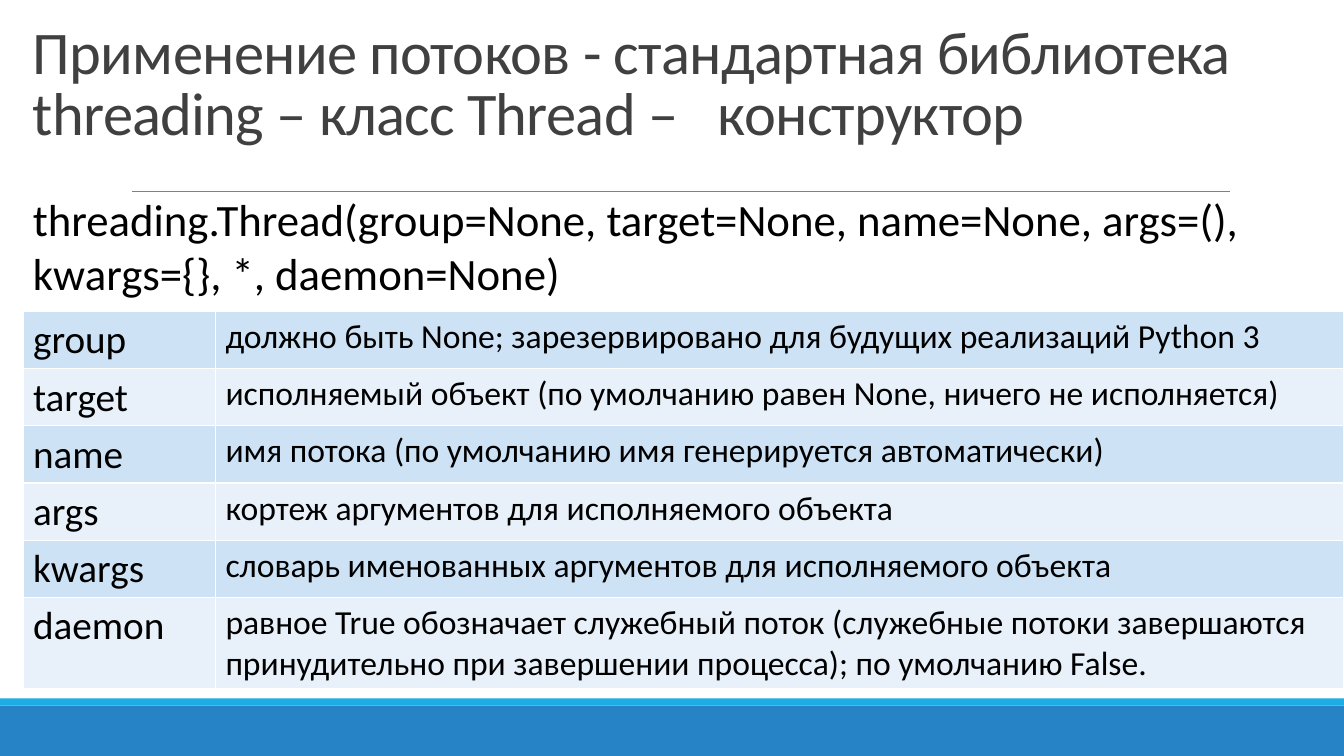
import pptx
import pptx.util
import pptx.dml.color
import pptx.enum.shapes
import pptx.enum.text
import pptx.oxml.ns
import lxml.etree

Cm = pptx.util.Cm
Pt = pptx.util.Pt
RGBColor = pptx.dml.color.RGBColor

BLUE = RGBColor(0x26, 0x83, 0xC6)
CYAN = RGBColor(0x1C, 0xAD, 0xE4)
GRAY = RGBColor(0x80, 0x80, 0x80)
DARK = RGBColor(0x40, 0x40, 0x40)
BLACK = RGBColor(0, 0, 0)
WHITE = RGBColor(0xFF, 0xFF, 0xFF)
BANDS = [RGBColor(0xCD, 0xE3, 0xF5), RGBColor(0xE8, 0xF1, 0xFA)]
FACE = "Calibri"
WIDE = 33.87
LEFT = 0.58

TITLE = [
    ("Применение потоков - стандартная библиотека threading – класс Thread –", -50),
    (" ", 1850),
    ("конструктор", -50),
]
CALL = "threading.Thread(group=None, target=None, name=None, args=(), kwargs={}, *, daemon=None)"
ARGS = [
    ("group", "должно быть None; зарезервировано для будущих реализаций Python 3"),
    ("target", "исполняемый объект (по умолчанию равен None, ничего не исполняется)"),
    ("name", "имя потока (по умолчанию имя генерируется автоматически)"),
    ("args", "кортеж аргументов для исполняемого объекта"),
    ("kwargs", "словарь именованных аргументов для исполняемого объекта"),
    ("daemon", "равное True обозначает служебный поток (служебные потоки завершаются "
               "принудительно при завершении процесса); по умолчанию False."),
]


def style(run, size, color):
    run.font.name = FACE
    run.font.size = Pt(size)
    run.font.color.rgb = color


def add_bar(slide, top, high, color):
    kind = pptx.enum.shapes.MSO_SHAPE.RECTANGLE
    bar = slide.shapes.add_shape(kind, 0, Cm(top), Cm(WIDE), Cm(high))
    bar.shadow.inherit = False
    bar.fill.solid()
    bar.fill.fore_color.rgb = color
    bar.line.fill.background()


def add_rule(slide, left, right, top):
    kind = pptx.enum.shapes.MSO_CONNECTOR.STRAIGHT
    rule = slide.shapes.add_connector(kind, Cm(left), Cm(top), Cm(right), Cm(top))
    rule.line.color.rgb = GRAY
    rule.line.width = Pt(0.5)
    props = rule._element.spPr
    lxml.etree.SubElement(props, pptx.oxml.ns.qn("a:effectLst"))


def add_box(slide, top, wide, high):
    box = slide.shapes.add_textbox(Cm(LEFT), Cm(top), Cm(wide), Cm(high))
    box.text_frame.word_wrap = True
    return box.text_frame


def add_title(slide):
    frame = add_box(slide, 0.48, 32.79, 3.38)
    frame.vertical_anchor = pptx.enum.text.MSO_ANCHOR.BOTTOM
    para = frame.paragraphs[0]
    para.line_spacing = 0.85
    for text, gap in TITLE:
        run = para.add_run()
        run.text = text
        style(run, 43.2, DARK)
        run.font._element.set("spc", str(gap))


def add_call(slide):
    frame = add_box(slide, 4.7, 31.12, 3)
    frame.text = CALL
    style(frame.paragraphs[0].runs[0], 32, BLACK)


def add_edges(cell):
    props = cell._tc.get_or_add_tcPr()
    for side in ("lnL", "lnR", "lnT", "lnB"):
        edge = lxml.etree.SubElement(props, pptx.oxml.ns.qn("a:" + side), w=str(Pt(1)))
        fill = lxml.etree.SubElement(edge, pptx.oxml.ns.qn("a:solidFill"))
        lxml.etree.SubElement(fill, pptx.oxml.ns.qn("a:srgbClr"), val=str(WHITE))


def fill_cell(cell, text, size, color):
    add_edges(cell)
    cell.fill.solid()
    cell.fill.fore_color.rgb = color
    cell.text_frame.text = text
    style(cell.text_frame.paragraphs[0].runs[0], size, BLACK)


def add_grid(slide):
    widths = (4.85, 28.42)
    high = 1.04
    frame = slide.shapes.add_table(
        len(ARGS), 2, Cm(LEFT), Cm(7.85), Cm(sum(widths)), Cm(high * len(ARGS)))
    table = frame.table
    table.first_row = False
    table.horz_banding = False
    for col, wide in zip(table.columns, widths):
        col.width = Cm(wide)
    for i, texts in enumerate(ARGS):
        table.rows[i].height = Cm(high)
        for j, size in enumerate((28, 24)):
            fill_cell(table.cell(i, j), texts[j], size, BANDS[i % 2])


def main():
    deck = pptx.Presentation()
    deck.slide_width = Cm(WIDE)
    deck.slide_height = Cm(19.05)
    slide = deck.slides.add_slide(deck.slide_layouts[6])
    add_bar(slide, 17.78, 1.27, BLUE)
    add_bar(slide, 17.6, 0.18, CYAN)
    add_rule(slide, 3.32, 31, 4.82)
    add_title(slide)
    add_grid(slide)
    add_call(slide)
    deck.save("out.pptx")


if __name__ == "__main__":
    main()
